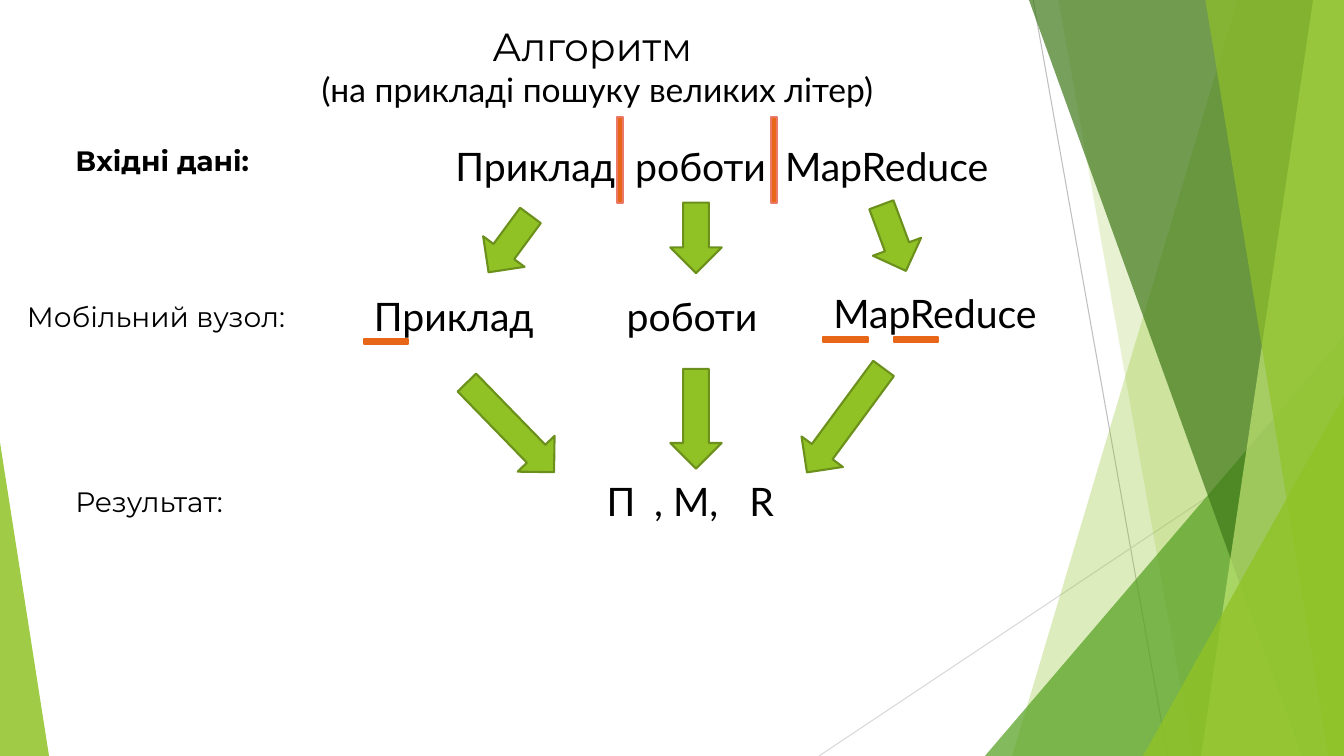
from lxml.etree import SubElement
from pptx import Presentation
from pptx.dml.color import RGBColor
from pptx.enum.shapes import MSO_CONNECTOR, MSO_SHAPE
from pptx.enum.text import MSO_ANCHOR, MSO_AUTO_SIZE, PP_ALIGN
from pptx.oxml.ns import qn
from pptx.util import Pt

WIDTH, HEIGHT = 960, 540
BLACK = RGBColor(0x00, 0x00, 0x00)
LIME = RGBColor(0x90, 0xC2, 0x26)
PALE_LIME = RGBColor(0xC0, 0xE4, 0x74)
GREEN = RGBColor(0x54, 0xA0, 0x21)
DARK_GREEN = RGBColor(0x3F, 0x78, 0x19)
ARROW_EDGE = RGBColor(0x6B, 0x90, 0x1C)
ORANGE = RGBColor(0xE7, 0x66, 0x18)
CORAL = RGBColor(0xEB, 0x77, 0x66)
GREY = RGBColor(0xBF, 0xBF, 0xBF)
LIGHT_GREY = RGBColor(0xD9, 0xD9, 0xD9)
LABEL_FONT, DATA_FONT = "Montserrat", "Lato"
LABEL_SIZE, DATA_SIZE = 20, 28


class SlideBuilder:
    def __init__(self, page):
        self.page = page

    def style_span(self, span, font, size, bold=False):
        span.font.name, span.font.size = font, Pt(size)
        span.font.bold, span.font.color.rgb = bold, BLACK

    def paint(self, shape, fill, edge=None, opacity=100):
        shape.shadow.inherit = False
        shape.fill.solid()
        shape.fill.fore_color.rgb = fill
        if opacity < 100:
            color = shape.element.spPr.find(qn("a:solidFill")).find(qn("a:srgbClr"))
            SubElement(color, qn("a:alpha"), val=str(opacity * 1000))
        if edge is None:
            shape.line.fill.background()
        else:
            shape.line.color.rgb = edge
            shape.line.width = Pt(1.5)

    def title(self, text, left, top, width, height, styles):
        box = self.page.shapes.title
        box.left, box.top, box.width, box.height = map(Pt, (left, top, width, height))
        frame = box.text_frame
        frame.text = text
        frame.auto_size, frame.vertical_anchor = MSO_AUTO_SIZE.NONE, MSO_ANCHOR.TOP
        para = frame.paragraphs[0]
        para.alignment = PP_ALIGN.CENTER
        for span, (font, size) in zip(para.runs, styles):
            self.style_span(span, font, size)

    def text(self, text, left, top, width, font, size, bold=False, tabs=()):
        height = 41 if size == DATA_SIZE else 32
        box = self.page.shapes.add_textbox(*map(Pt, (left, top, width, height)))
        frame = box.text_frame
        frame.word_wrap = True
        frame.text = text
        para = frame.paragraphs[0]
        self.style_span(para.runs[0], font, size, bold)
        if tabs:
            stops = SubElement(para._p.get_or_add_pPr(), qn("a:tabLst"))
            for stop in tabs:
                SubElement(stops, qn("a:tab"), pos=str(Pt(stop)), algn="l")

    def shape(self, kind, left, top, width, height, fill, edge=None,
              opacity=100, rotation=0, apex=None):
        shape = self.page.shapes.add_shape(kind, *map(Pt, (left, top, width, height)))
        shape.rotation = rotation
        if apex is not None:
            shape.adjustments[0] = apex
        self.paint(shape, fill, edge, opacity)

    def facet(self, top_x, bottom_x, fill, opacity):
        """Fill from a slanted left edge to the right side of the slide."""
        outline = self.page.shapes.build_freeform(Pt(top_x), 0)
        corners = [(WIDTH, 0), (WIDTH, HEIGHT), (bottom_x, HEIGHT)]
        outline.add_line_segments([(Pt(x), Pt(y)) for x, y in corners], close=True)
        self.paint(outline.convert_to_shape(), fill, opacity=opacity)

    def line(self, start_x, start_y, end_x, end_y, color):
        line = self.page.shapes.add_connector(
            MSO_CONNECTOR.STRAIGHT, *map(Pt, (start_x, start_y, end_x, end_y)))
        line.line.color.rgb, line.line.width = color, Pt(0.75)
        SubElement(line.element.spPr, qn("a:effectLst"))


deck = Presentation()
deck.slide_width, deck.slide_height = Pt(WIDTH), Pt(HEIGHT)
builder = SlideBuilder(deck.slides.add_slide(deck.slide_layouts[5]))

# Faceted backdrop, from back to front
TRIANGLE = MSO_SHAPE.ISOSCELES_TRIANGLE
builder.line(738, 0, 834, HEIGHT, GREY)
builder.line(WIDTH, 290, 585, HEIGHT, LIGHT_GREY)
builder.facet(884, 723, LIME, 30)
builder.facet(756, 852, LIME, 20)
builder.shape(TRIANGLE, 703.5, 240, 256.5, 300, GREEN, opacity=72, apex=1)
builder.facet(735, 930, DARK_GREEN, 70)
builder.facet(938, 858, PALE_LIME, 70)
builder.facet(861, 949, LIME, 65)
builder.shape(TRIANGLE, 816.5, 283, 143.5, 257, LIME, opacity=80, apex=1)
builder.shape(TRIANGLE, 0, 316, 35, 224, LIME, opacity=85, apex=0)

# Title
builder.title("Алгоритм \v(на прикладі пошуку великих літер)", 191, 12.2, 471.5, 70.5,
              [(LABEL_FONT, 28), (DATA_FONT, 24)])

# Stage labels
for label, left, top, width, bold in [
    ("Вхідні дані:", 46.8, 98.6, 152, True),
    ("Мобільний вузол:", 12.2, 210.2, 373, False),
    ("Результат:", 46.8, 342.7, 271, False),
]:
    builder.text(label, left, top, width, LABEL_FONT, LABEL_SIZE, bold)

# Input, split words and result
for words, left, top, width, tabs in [
    ("Приклад\tроботи\tMapReduce", 318.2, 97.9, 640, (128.5, 235.5)),
    ("Приклад", 260, 205.2, 148, ()),
    ("роботи", 440.6, 205.2, 148, ()),
    ("MapReduce", 588.2, 203, 209, ()),
    ("П\t, M,\tR", 426.2, 337.7, 407, (34, 102)),
]:
    builder.text(words, left, top, width, DATA_FONT, DATA_SIZE, tabs=tabs)

# Dividers between the input words
for left in (440.6, 550.8):
    builder.shape(MSO_SHAPE.RECTANGLE, left, 83.5, 4.3, 61.2, ORANGE, CORAL)

# Underlines of the capital letters
for left, top in [(260, 242), (588.2, 241), (638.6, 241)]:
    builder.shape(MSO_SHAPE.RECTANGLE, left, top, 31.7, 3.6, ORANGE, ORANGE)

# Arrows: input to nodes, then nodes to result
for left, top, length, rotation in [
    (345.6, 149, 50.4, 36.4), (478.8, 144.7, 50.4, 0), (620, 144.7, 50.4, 339.6),
    (346.3, 260.6, 89.3, 315.8), (478.8, 263.5, 71.3, 0), (585.4, 254.2, 92.2, 36.4),
]:
    builder.shape(MSO_SHAPE.DOWN_ARROW, left, top, 36.7, length, LIME, ARROW_EDGE,
                  rotation=rotation)

deck.save("out.pptx")
